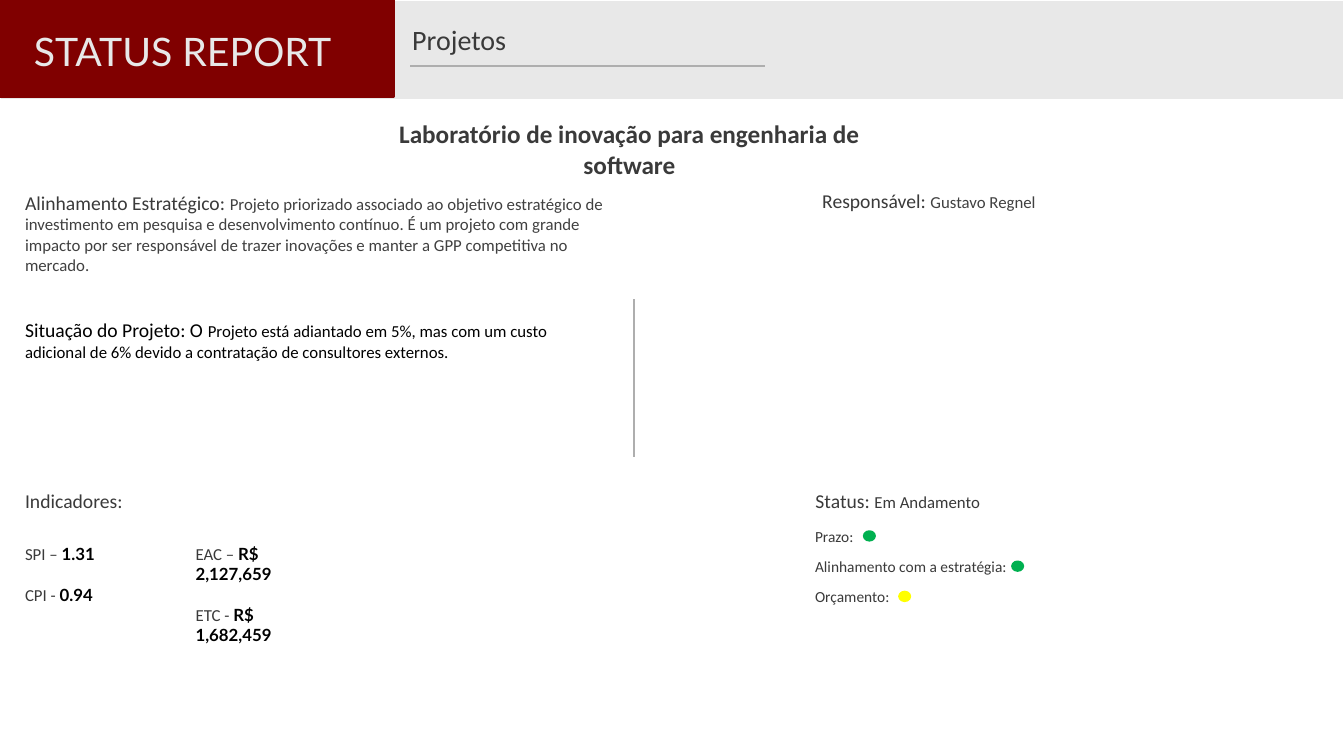
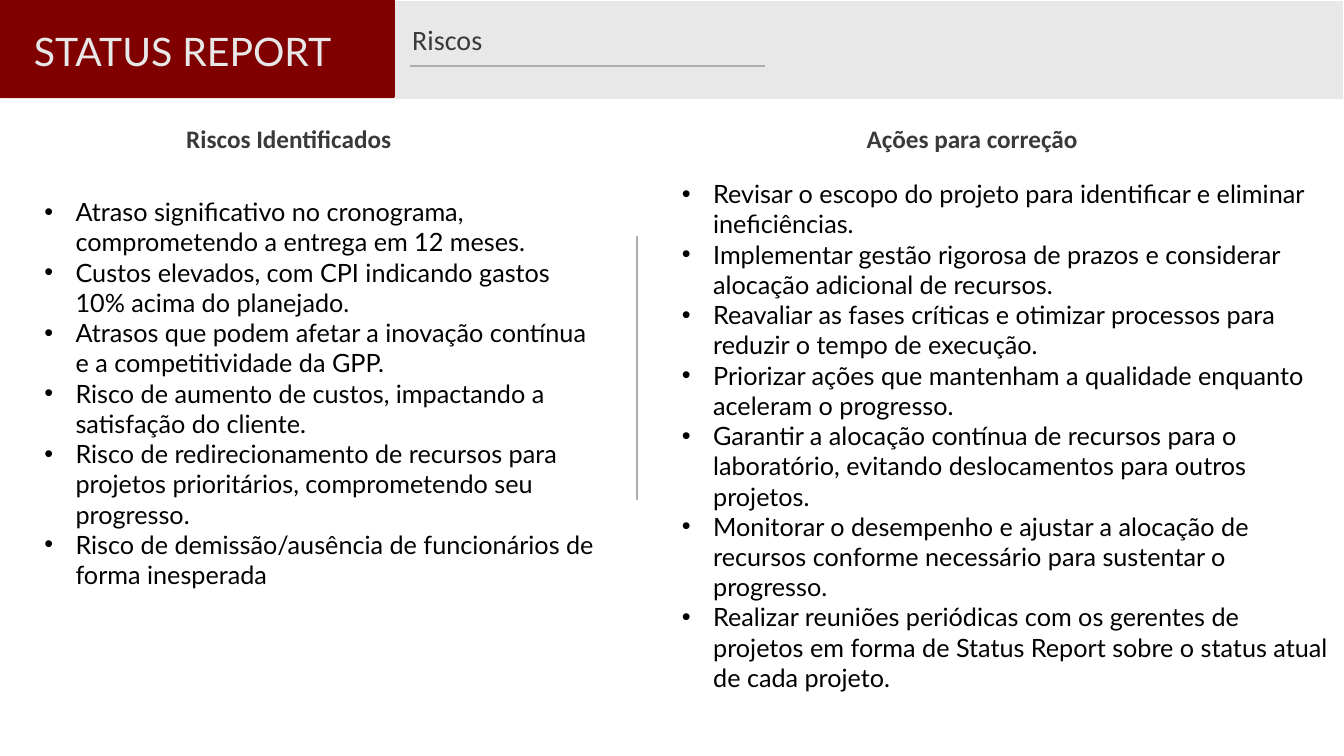
from lxml.etree import SubElement
from pptx import Presentation
from pptx.dml.color import RGBColor
from pptx.enum.shapes import MSO_CONNECTOR as Connector, MSO_SHAPE as Shape
from pptx.enum.text import MSO_AUTO_SIZE as AutoSize, PP_ALIGN as Align
from pptx.oxml.ns import qn
from pptx.util import Emu, Inches, Pt

SLIDE_WIDTH, SLIDE_HEIGHT = Inches(13.33), Inches(7.5)
COLUMNS, ROWS = 32, 18
MARGIN = 0.36
INK, BODY, BLACK = "3A3A3A", "404040", "000000"
MAROON, SILVER, RULE, WHITE = "800000", "E8E8E8", "AEAEAE", "FFFFFF"
GREEN, YELLOW = "00B050", "FFFF00"
HEADING_FONT, BODY_FONT = "Lato", "Calibri"
FIGURE = dict(font=HEADING_FONT, color=BLACK, bold=True)
DETAIL = dict(size=12, color=BODY)

RISKS = (
    "Atraso significativo no cronograma, comprometendo a entrega em 12 meses.",
    "Custos elevados, com CPI indicando gastos 10% acima do planejado.",
    "Atrasos que podem afetar a inovação contínua e a competitividade da GPP.",
    "Risco de aumento de custos, impactando a satisfação do cliente.",
    "Risco de redirecionamento de recursos para projetos prioritários, comprometendo seu progresso.",
    "Risco de demissão/ausência de funcionários de forma inesperada",
)
ACTIONS = (
    "Revisar o escopo do projeto para identificar e eliminar ineficiências.",
    "Implementar gestão rigorosa de prazos e considerar alocação adicional de recursos.",
    "Reavaliar as fases críticas e otimizar processos para reduzir o tempo de execução.",
    "Priorizar ações que mantenham a qualidade enquanto aceleram o progresso.",
    "Garantir a alocação contínua de recursos para o laboratório, evitando deslocamentos para outros projetos.",
    "Monitorar o desempenho e ajustar a alocação de recursos conforme necessário para sustentar o progresso.",
    "Realizar reuniões periódicas com os gerentes de projetos em forma de Status Report sobre o status atual de cada projeto.",
)


def rgb(value):
    return RGBColor.from_string(value)


def col(count):
    return Emu(round(SLIDE_WIDTH * count / COLUMNS))


def row(count):
    return Emu(round(SLIDE_HEIGHT * count / ROWS))


def place(left, top, width, height):
    return col(left), row(top), col(width), row(height)


def style_run(run, size, color, font, bold):
    run.font.size = Pt(size)
    run.font.color.rgb = rgb(color)
    run.font.name = font
    run.font.bold = bold


def add_bullet(paragraph):
    properties = paragraph._p.get_or_add_pPr()
    properties.set("marL", str(Inches(0.31)))
    properties.set("indent", str(-Inches(0.31)))
    SubElement(properties, qn("a:buFont"), typeface="Arial")
    SubElement(properties, qn("a:buChar"), char="•")


def add_text(slide, area, *paragraphs, size=14, color=INK, font=BODY_FONT,
             bold=False, align=Align.LEFT, bullet=False, gap=0):
    frame = slide.shapes.add_textbox(*place(*area)).text_frame
    frame.word_wrap = True
    frame.auto_size = AutoSize.SHAPE_TO_FIT_TEXT
    base = dict(size=size, color=color, font=font, bold=bold)
    for index, content in enumerate(paragraphs):
        paragraph = frame.add_paragraph() if index else frame.paragraphs[0]
        paragraph.alignment = align
        if index and gap:
            paragraph.space_before = Pt(gap)
        if bullet:
            add_bullet(paragraph)
        parts = [(content, {})] if isinstance(content, str) else content
        for words, changes in parts:
            run = paragraph.add_run()
            run.text = words
            style_run(run, **{**base, **changes})


def add_block(slide, kind, area, fill, line):
    block = slide.shapes.add_shape(kind, *place(*area))
    block.shadow.inherit = False
    block.fill.solid()
    block.fill.fore_color.rgb = rgb(fill)
    block.line.color.rgb = rgb(line)
    block.line.width = Pt(1.5)


def add_rule(slide, left, top, right, bottom):
    rule = slide.shapes.add_connector(
        Connector.STRAIGHT, col(left), row(top), col(right), row(bottom))
    rule.line.color.rgb = rgb(RULE)
    rule.line.width = Pt(1.5)
    SubElement(rule._element.spPr, qn("a:effectLst"))


def add_report_slide(deck, section):
    slide = deck.slides.add_slide(deck.slide_layouts[6])
    add_block(slide, Shape.RECTANGLE, (0, 0, COLUMNS, 2.38), SILVER, WHITE)
    add_block(slide, Shape.RECTANGLE, (0, 0, 9.38, 2.3), MAROON, MAROON)
    add_rule(slide, 9.77, 1.58, 18.22, 1.58)
    add_text(slide, (MARGIN, 0.53, 7.97, 1.37), "STATUS REPORT", size=28,
             color=SILVER, font=HEADING_FONT, align=Align.CENTER)
    add_text(slide, (9.58, 0.41, 5.33, 1.06), section, size=20)
    return slide


def add_heading(slide, left, top, heading):
    add_text(slide, (left, top, 13.03, 0.96), heading, size=18, bold=True,
             align=Align.CENTER)


def add_indicators(slide, left, width, indicators):
    lines = [[(label, {}), (value, FIGURE)] for label, value in indicators]
    add_text(slide, (left, 12.83, width, 1.7), *lines, size=12, gap=14.5)


def add_status_lights(slide, left, top, lights):
    for index, (label, light_left, light) in enumerate(lights):
        level = top + 0.72 * index
        add_text(slide, (left, level, 6.07, 0.7), label, size=11)
        add_block(slide, Shape.OVAL, (light_left, level + 0.22, 0.26, 0.22),
                  light, light)


def build_project(deck):
    slide = add_report_slide(deck, "Projetos")
    add_heading(slide, 8.47, 2.71,
                "Laboratório de inovação para engenharia de software")
    add_text(slide, (MARGIN, 4.42, 14.47, 2.26), [
        ("Alinhamento Estratégico: ", {}),
        ("Projeto priorizado associado ao objetivo estratégico de investimento em "
         "pesquisa e desenvolvimento contínuo. É um projeto com grande impacto por "
         "ser responsável de trazer inovações e manter a GPP competitiva no mercado.",
         DETAIL)])
    add_text(slide, (MARGIN, 7.46, 12.98, 1.3), [
        ("Situação do Projeto: O ", {}),
        ("Projeto está adiantado em 5%, mas com um custo adicional de 6% devido a "
         "contratação de consultores externos.", dict(size=12))], color=BLACK)
    add_text(slide, (19.34, 4.39, 8.18, 0.82),
             [("Responsável: ", {}), ("Gustavo Regnel", DETAIL)])
    add_rule(slide, 15.1, 7.13, 15.1, 10.87)
    add_text(slide, (MARGIN, 11.52, 13.03, 0.82), "Indicadores:")
    add_indicators(slide, MARGIN, 2.78, (("SPI – ", "1.31"), ("CPI - ", "0.94")))
    add_indicators(slide, 4.42, 3.6,
                   (("EAC – ", "R$ 2,127,659"), ("ETC - ", "R$ 1,682,459")))
    add_text(slide, (19.18, 11.52, 12, 0.82),
             [("Status: ", {}), ("Em Andamento", dict(size=12))])
    add_status_lights(slide, 19.17, 12.43, (
        ("Prazo:", 20.57, GREEN),
        ("Alinhamento com a estratégia:", 24.1, GREEN),
        ("Orçamento:", 21.41, YELLOW),
    ))


def build_risks(deck):
    slide = add_report_slide(deck, "Riscos")
    add_heading(slide, MARGIN, 2.83, "Riscos Identificados")
    add_heading(slide, 16.63, 2.83, "Ações para correção")
    add_rule(slide, 15.17, 5.62, 15.17, 11.9)
    listing = dict(size=18, color=BLACK, font=HEADING_FONT, bullet=True)
    add_text(slide, (0.82, 4.56, 13.68, 9.7), *RISKS, **listing)
    add_text(slide, (16, 4.13, 15.96, 12.4), *ACTIONS, **listing)


def main():
    deck = Presentation()
    deck.slide_width, deck.slide_height = SLIDE_WIDTH, SLIDE_HEIGHT
    build_project(deck)
    build_risks(deck)
    deck.save("out.pptx")


if __name__ == "__main__":
    main()
